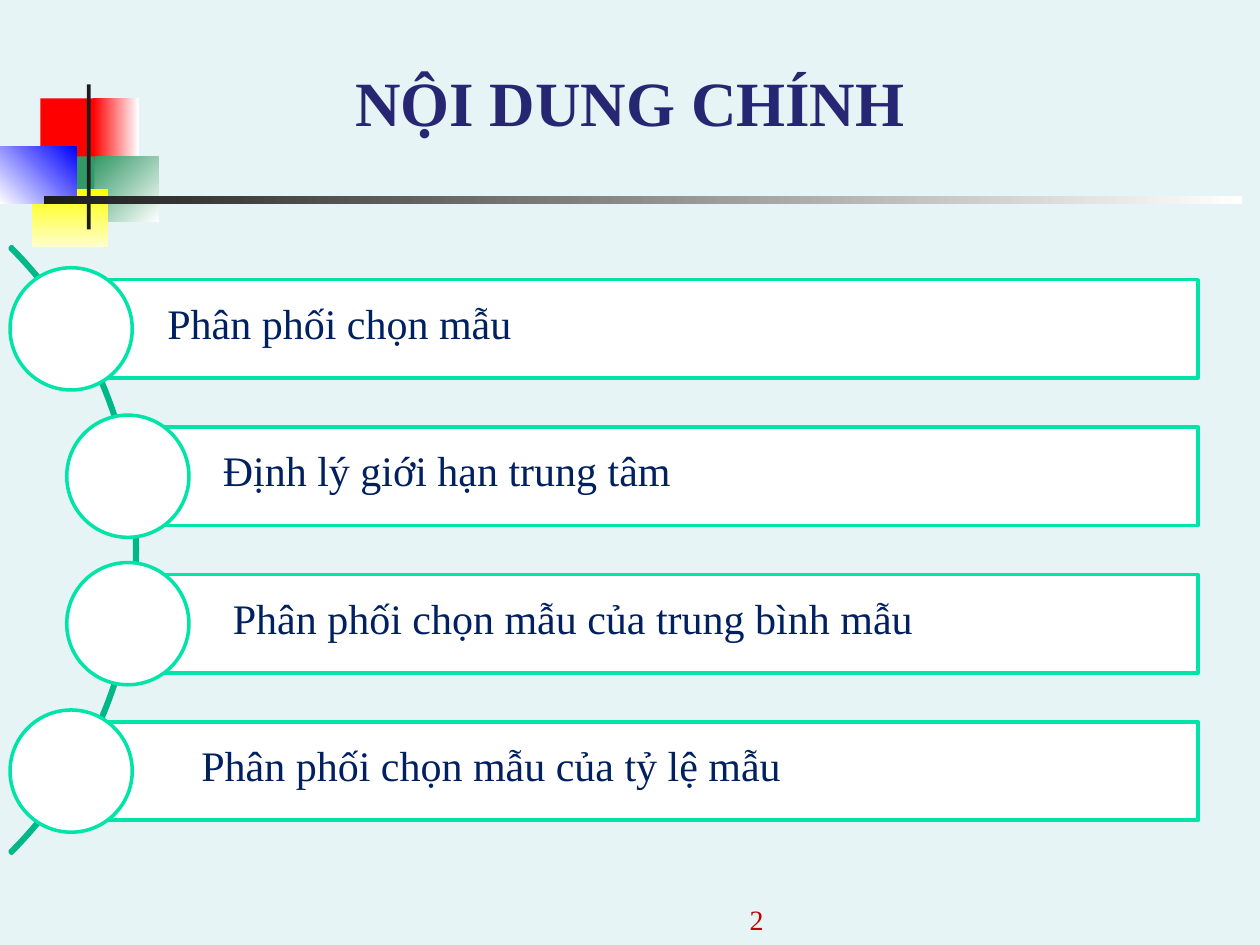
from dataclasses import dataclass

from pptx import Presentation
from pptx.dml.color import RGBColor
from pptx.enum.shapes import MSO_SHAPE
from pptx.enum.text import MSO_ANCHOR, PP_ALIGN
from pptx.util import Inches, Pt


@dataclass(frozen=True)
class Theme:
    background: str = "E7F4F5"
    title: str = "262673"
    body: str = "002060"
    number: str = "C00000"
    arc: str = "00B787"
    outline: str = "00E4A8"
    panel: str = "FFFFFF"
    font: str = "Times New Roman"
    title_size: int = 36
    body_size: int = 24
    number_size: int = 16
    line_width: int = 2


@dataclass(frozen=True)
class Area:
    left: float
    top: float
    width: float
    height: float

    def lengths(self) -> tuple:
        return tuple(map(Inches, (self.left, self.top, self.width, self.height)))


@dataclass(frozen=True)
class Block:
    area: Area
    start: str
    end: str = ""
    angle: int = 0


@dataclass(frozen=True)
class Topic:
    text: str
    bar_left: float
    text_left: float


THEME = Theme()
BLOCKS = (
    Block(Area(0.32, 0.78, 0.48, 0.52), "FF0000"),
    Block(Area(0.74, 0.78, 0.36, 0.52), "FF0000", "FFFFFF"),
    Block(Area(0.75, 1.24, 0.51, 0.52), "339966", "FFFFFF", 45),
    Block(Area(0.43, 1.24, 0.32, 0.52), "339966"),
    Block(Area(0.25, 1.5, 0.61, 0.46), "FFFF00", "FFFFCC", 90),
    Block(Area(0, 1.16, 0.61, 0.46), "FFFFFF", "0000FF", 315),
    Block(Area(0.69, 0.67, 0.03, 1.15), "1C1C1C"),
    Block(Area(0.35, 1.56, 9.51, 0.06), "1C1C1C", "FFFFFF"),
)
TOPICS = (
    Topic("Phân phối chọn mẫu", 0.57, 1.23),
    Topic("Định lý giới hạn trung tâm", 1.02, 1.67),
    Topic("Phân phối chọn mẫu của trung bình mẫu", 1.02, 1.75),
    Topic("Phân phối chọn mẫu của tỷ lệ mẫu", 0.57, 1.5),
)
FIRST_BAR_TOP, BAR_PITCH = 2.22, 1.17
BAR_RIGHT, BAR_HEIGHT = 9.51, 0.78
CIRCLE_SIZE = 0.97


def color(value: str) -> RGBColor:
    return RGBColor.from_string(value)


def add_block(page, block: Block) -> None:
    shape = page.shapes.add_shape(MSO_SHAPE.RECTANGLE, *block.area.lengths())
    shape.shadow.inherit = False
    shape.line.fill.background()
    if not block.end:
        shape.fill.solid()
        shape.fill.fore_color.rgb = color(block.start)
        return
    shape.fill.gradient()
    shape.fill.gradient_angle = (360 - block.angle) % 360
    for stop, position, value in zip(shape.fill.gradient_stops, (0, 1), (block.start, block.end)):
        stop.position = position
        stop.color.rgb = color(value)


def add_outlined(page, kind: MSO_SHAPE, area: Area, line: str, fill: str = ""):
    shape = page.shapes.add_shape(kind, *area.lengths())
    shape.shadow.inherit = False
    shape.line.color.rgb = color(line)
    shape.line.width = Pt(THEME.line_width)
    if fill:
        shape.fill.solid()
        shape.fill.fore_color.rgb = color(fill)
    else:
        shape.fill.background()
    return shape


def add_text(page, text: str, area: Area, size: int, ink: str, bold: bool = False,
             align: PP_ALIGN = PP_ALIGN.LEFT, anchor: MSO_ANCHOR = MSO_ANCHOR.TOP) -> None:
    box = page.shapes.add_textbox(*area.lengths())
    box.text_frame.word_wrap = True
    box.text_frame.vertical_anchor = anchor
    para = box.text_frame.paragraphs[0]
    para.alignment = align
    span = para.add_run()
    span.text = text
    formats = {"name": THEME.font, "size": Pt(size), "bold": bold}
    for name, value in formats.items():
        setattr(span.font, name, value)
    span.font.color.rgb = color(ink)


def add_topic(page, topic: Topic, top: float) -> None:
    bar = Area(topic.bar_left, top, BAR_RIGHT - topic.bar_left, BAR_HEIGHT)
    circle = Area(topic.bar_left - 0.49, top - (CIRCLE_SIZE - BAR_HEIGHT) / 2,
                  CIRCLE_SIZE, CIRCLE_SIZE)
    for kind, area in ((MSO_SHAPE.RECTANGLE, bar), (MSO_SHAPE.OVAL, circle)):
        add_outlined(page, kind, area, THEME.outline, THEME.panel)
    add_text(page, topic.text, Area(topic.text_left, top + 0.09, 7.4, 0.5),
             THEME.body_size, THEME.body)


def main() -> None:
    deck = Presentation()
    deck.slide_width, deck.slide_height = Inches(10), Inches(7.5)
    page = deck.slides.add_slide(deck.slide_layouts[6])
    page.background.fill.solid()
    page.background.fill.fore_color.rgb = color(THEME.background)
    for block in BLOCKS:
        add_block(page, block)
    add_text(page, "NỘI DUNG CHÍNH", Area(0, 0.42, 10, 0.73), THEME.title_size,
             THEME.title, True, PP_ALIGN.CENTER, MSO_ANCHOR.BOTTOM)
    add_text(page, "2", Area(3.83, 7.08, 2.33, 0.4), THEME.number_size,
             THEME.number, False, PP_ALIGN.RIGHT, MSO_ANCHOR.BOTTOM)
    arc = add_outlined(page, MSO_SHAPE.BLOCK_ARC, Area(-5.72, 0.96, 6.81, 6.81), THEME.arc)
    for index, value in enumerate((189, 27, 0.003)):
        arc.adjustments[index] = value
    for index, topic in enumerate(TOPICS):
        add_topic(page, topic, FIRST_BAR_TOP + index * BAR_PITCH)
    deck.save("out.pptx")


if __name__ == "__main__":
    main()
